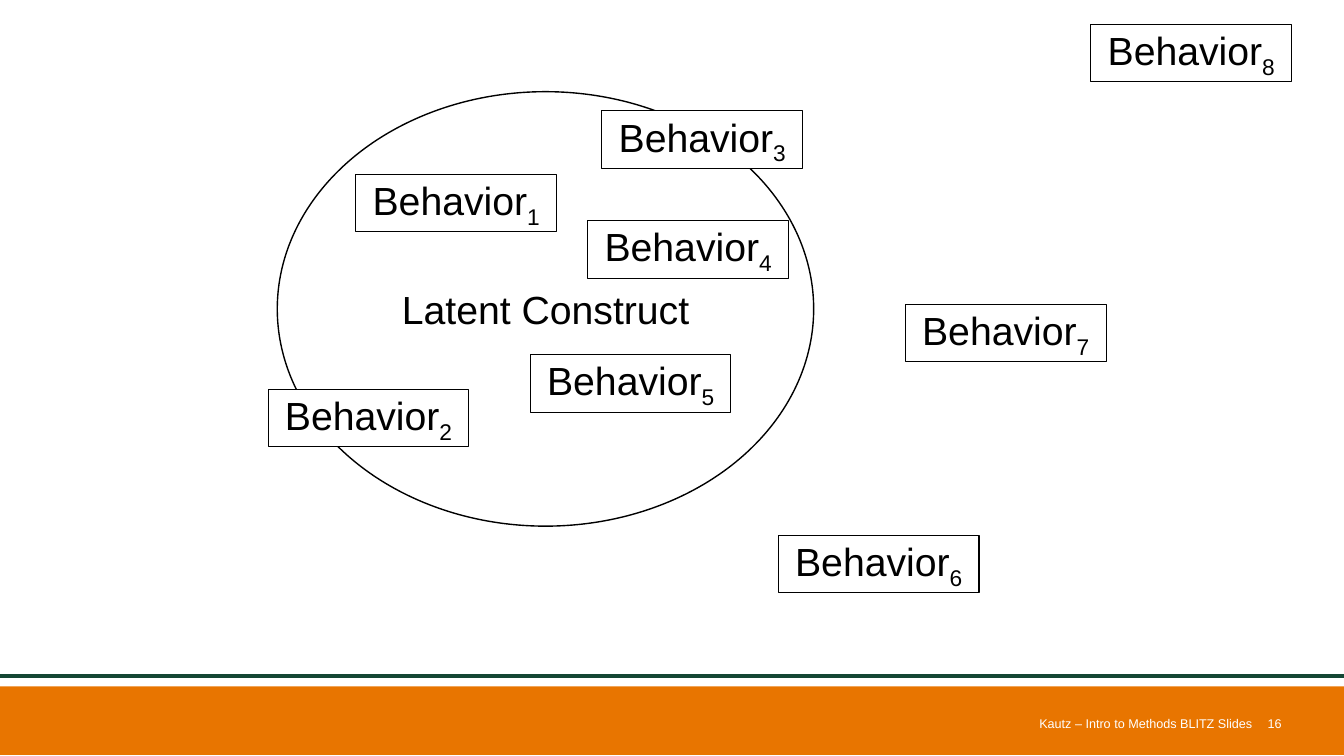
from dataclasses import dataclass

from lxml import etree
from pptx import Presentation
from pptx.dml.color import RGBColor
from pptx.enum.shapes import MSO_CONNECTOR, MSO_SHAPE
from pptx.enum.text import MSO_ANCHOR, PP_ALIGN
from pptx.oxml.ns import qn
from pptx.util import Inches, Pt

RECTANGLE, OVAL = MSO_SHAPE.RECTANGLE, MSO_SHAPE.OVAL
STRAIGHT = MSO_CONNECTOR.STRAIGHT
MIDDLE = MSO_ANCHOR.MIDDLE
CENTER, RIGHT = PP_ALIGN.CENTER, PP_ALIGN.RIGHT

SLIDE_WIDTH, SLIDE_HEIGHT = 13.33, 7.5
BEHAVIOR_WIDTH, BEHAVIOR_HEIGHT = 1.99, 0.57
BEHAVIOR_CORNERS = [
    (3.53, 1.73), (2.66, 3.86), (5.97, 1.1), (5.83, 2.19),
    (5.26, 3.52), (7.72, 5.31), (8.98, 3.02), (10.82, 0.24),
]


@dataclass(frozen=True)
class Theme:
    """Colours, font and type sizes of the slide."""
    ink: str = "000000"
    paper: str = "FFFFFF"
    orange: str = "E87500"
    green: str = "154734"
    font: str = "Arial"
    label_size: float = 28
    footer_size: float = 9


def write_text(frame, text, *, font, size, color, align, subscript="", right_inset=0.1):
    """Fill a text frame with one paragraph and an optional subscript."""
    frame.word_wrap = True
    frame.vertical_anchor = MIDDLE
    frame.margin_right = Inches(right_inset)
    paragraph = frame.paragraphs[0]
    paragraph.alignment = align
    for content, baseline in ((text, None), (subscript, "-25000")):
        if not content:
            continue
        run = paragraph.add_run()
        run.text = content
        run.font.name = font
        run.font.size = Pt(size)
        run.font.color.rgb = RGBColor.from_string(color)
        if baseline:
            run.font._element.set("baseline", baseline)


class SlideBuilder:
    """Draws styled elements on one slide."""

    def __init__(self, slide, theme):
        self.shapes = slide.shapes
        self.theme = theme

    def shape(self, preset, box, fill, line_width=0):
        """Add a filled preset shape, outlined when a line width is given."""
        figure = self.shapes.add_shape(preset, *map(Inches, box))
        figure.shadow.inherit = False
        figure.fill.solid()
        figure.fill.fore_color.rgb = RGBColor.from_string(fill)
        if line_width:
            figure.line.color.rgb = RGBColor.from_string(self.theme.ink)
            figure.line.width = Pt(line_width)
        else:
            figure.line.fill.background()
        return figure

    def labelled(self, preset, box, text, line_width, subscript=""):
        """Add an outlined shape with a centred label."""
        theme = self.theme
        figure = self.shape(preset, box, theme.paper, line_width)
        write_text(figure.text_frame, text, font=theme.font, size=theme.label_size,
                   color=theme.ink, align=CENTER, subscript=subscript)

    def rule(self, y, color, width):
        """Add a horizontal line across the slide."""
        divider = self.shapes.add_connector(
            STRAIGHT, 0, Inches(y), Inches(SLIDE_WIDTH), Inches(y))
        divider.line.color.rgb = RGBColor.from_string(color)
        divider.line.width = Pt(width)
        etree.SubElement(divider._element.spPr, qn("a:effectLst"))

    def footer(self, box, text, right_inset=0.1):
        """Add right-aligned footer text."""
        theme = self.theme
        note = self.shapes.add_textbox(*map(Inches, box))
        write_text(note.text_frame, text, font=theme.font, size=theme.footer_size,
                   color=theme.paper, align=RIGHT, right_inset=right_inset)


def main():
    """Build and save the latent construct slide."""
    presentation = Presentation()
    presentation.slide_width = Inches(SLIDE_WIDTH)
    presentation.slide_height = Inches(SLIDE_HEIGHT)
    theme = Theme()
    builder = SlideBuilder(
        presentation.slides.add_slide(presentation.slide_layouts[6]), theme)

    builder.shape(RECTANGLE, (0, 6.81, SLIDE_WIDTH, 0.68), theme.orange)
    builder.rule(6.71, theme.green, 3)
    builder.footer((4.42, 7.07, 8, 0.21), "Kautz – Intro to Methods BLITZ Slides",
                   right_inset=0)
    builder.footer((12.42, 7.07, 0.39, 0.21), "16")

    builder.labelled(OVAL, (2.75, 0.91, 5.32, 4.31), "Latent Construct", 1)
    for number, corner in enumerate(BEHAVIOR_CORNERS, start=1):
        builder.labelled(RECTANGLE, (*corner, BEHAVIOR_WIDTH, BEHAVIOR_HEIGHT),
                         "Behavior", 0.75, subscript=str(number))

    presentation.save("out.pptx")


if __name__ == "__main__":
    main()
